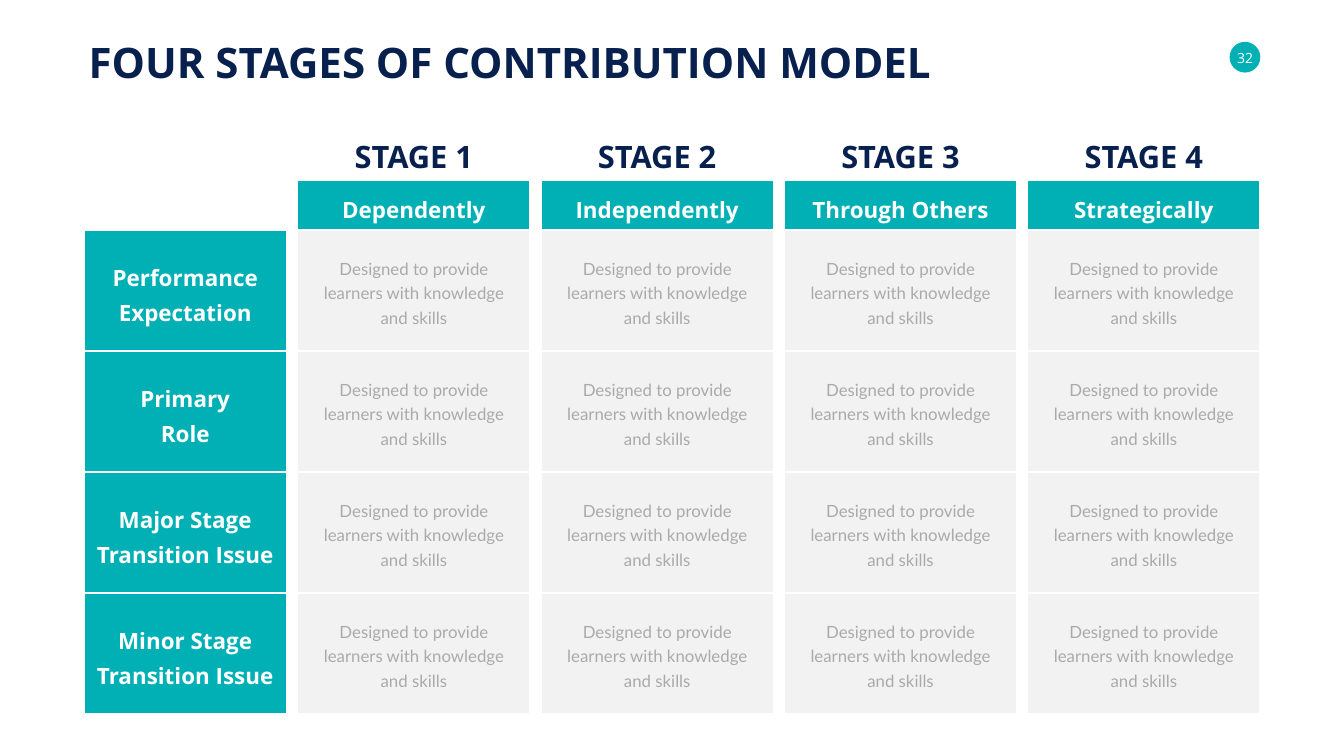
from pptx import Presentation
from pptx.dml.color import RGBColor
from pptx.enum.shapes import MSO_SHAPE
from pptx.enum.text import MSO_ANCHOR, MSO_AUTO_SIZE, PP_ALIGN
from pptx.util import Inches, Pt

TEAL = RGBColor(0x00, 0xB0, 0xB5)
NAVY = RGBColor(0x08, 0x20, 0x4D)
PALE = RGBColor(0xF2, 0xF2, 0xF2)
GRAY = RGBColor(0xAA, 0xAA, 0xAA)
WHITE = RGBColor(0xFF, 0xFF, 0xFF)

ROW_LEFT, ROW_WIDTH = 1.66, 4.03
STAGE_LEFT, STAGE_WIDTH, STAGE_PITCH = 5.9, 4.62, 14.48 / 3
HEADER_TOP, HEADER_HEIGHT = 3.57, 1
GRID_TOP, ROW_HEIGHT = 4.57, 2.4

STAGES = [("Dependently", 3.07), ("Independently", 3.47),
          ("Through Others", 3.73), ("Strategically", 2.99)]
ASPECTS = [("Performance\nExpectation", 3.11), ("Primary\nRole", 2),
           ("Major Stage\nTransition Issue", 3.73),
           ("Minor Stage\nTransition Issue", 3.73)]
DETAIL = "Designed to provide learners with knowledge and skills"


class MatrixSlide:
    """Draws the cells and lettering of a stage matrix on one slide."""

    heading_font = "Open Sans"
    body_font = "Lato"

    def __init__(self, slide):
        self.slide = slide

    def block(self, left, top, width, height, fill,
              preset=MSO_SHAPE.RECTANGLE, border=True):
        block = self.slide.shapes.add_shape(
            preset, Inches(left), Inches(top), Inches(width), Inches(height))
        block.shadow.inherit = False
        block.fill.solid()
        block.fill.fore_color.rgb = fill
        if border:
            block.line.color.rgb = WHITE
            block.line.width = Pt(3)
        else:
            block.line.fill.background()

    def text(self, words, center, middle, width, height, size, color,
             font=heading_font, bold=True, spacing=None, wrap=False,
             align=PP_ALIGN.CENTER, anchor=MSO_ANCHOR.MIDDLE, inset=True):
        box = self.slide.shapes.add_textbox(
            Inches(center - width / 2), Inches(middle - height / 2),
            Inches(width), Inches(height))
        frame = box.text_frame
        frame.text = words
        frame.word_wrap = wrap
        frame.auto_size = MSO_AUTO_SIZE.SHAPE_TO_FIT_TEXT
        frame.vertical_anchor = anchor
        if not inset:
            frame.margin_left = frame.margin_right = 0
            frame.margin_top = frame.margin_bottom = 0
        for paragraph in frame.paragraphs:
            paragraph.alignment = align
            if spacing:
                paragraph.line_spacing = Pt(spacing)
            for run in paragraph.runs:
                run.font.name = font
                run.font.size = Pt(size)
                run.font.bold = bold
                run.font.color.rgb = color

    def title(self, words):
        self.text(words, 10.2, 1.22, 17.08, 1.11, 60, NAVY,
                  align=PP_ALIGN.LEFT, anchor=MSO_ANCHOR.TOP)

    def page_number(self, number):
        self.block(24.39, 0.83, 0.61, 0.61, TEAL, MSO_SHAPE.OVAL, border=False)
        self.text(number, 24.7, 1.14, 0.35, 0.34, 20, WHITE,
                  bold=False, inset=False)

    def label(self, words, center, middle, width, height):
        self.text(words, center, middle, width, height, 32, WHITE, spacing=50)

    def aspect(self, words, text_width, top):
        self.block(ROW_LEFT, top, ROW_WIDTH, ROW_HEIGHT, TEAL)
        self.label(words, ROW_LEFT + ROW_WIDTH / 2, top + ROW_HEIGHT / 2,
                   text_width, 1.44)

    def stage(self, number, words, text_width, left):
        center = left + STAGE_WIDTH / 2
        self.text(f"STAGE {number}", center, 3.09, 2.57, 0.84, 44, NAVY,
                  anchor=MSO_ANCHOR.BOTTOM)
        self.block(left, HEADER_TOP, STAGE_WIDTH, HEADER_HEIGHT, TEAL)
        self.label(words, center, HEADER_TOP + HEADER_HEIGHT / 2,
                   text_width, 0.74)

    def detail(self, words, left, top):
        self.block(left, top, STAGE_WIDTH, ROW_HEIGHT, PALE)
        self.text(words, left + STAGE_WIDTH / 2, top + ROW_HEIGHT / 2,
                  4.22, 1.52, 24, GRAY, font=self.body_font, bold=False,
                  spacing=35, wrap=True)


def main():
    deck = Presentation()
    deck.slide_width, deck.slide_height = Inches(26.66), Inches(15)
    matrix = MatrixSlide(deck.slides.add_slide(deck.slide_layouts[6]))
    matrix.page_number("32")
    matrix.title("FOUR STAGES OF CONTRIBUTION MODEL")

    row_tops = [GRID_TOP + row * ROW_HEIGHT for row in range(len(ASPECTS))]
    for (aspect, text_width), top in zip(ASPECTS, row_tops):
        matrix.aspect(aspect, text_width, top)
    for column, (stage, text_width) in enumerate(STAGES):
        left = STAGE_LEFT + column * STAGE_PITCH
        matrix.stage(column + 1, stage, text_width, left)
        for top in row_tops:
            matrix.detail(DETAIL, left, top)

    deck.save("out.pptx")


if __name__ == "__main__":
    main()
